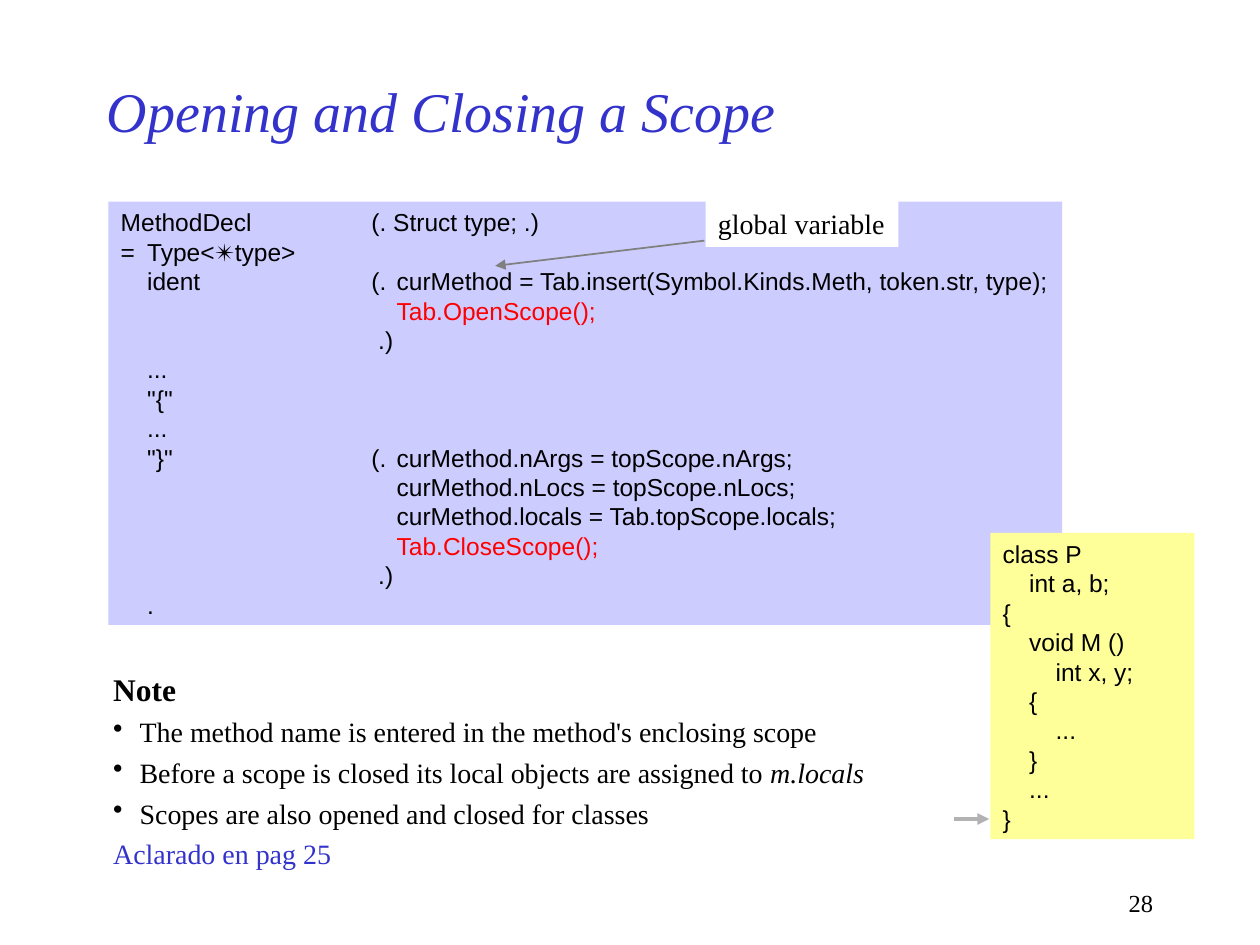
from dataclasses import dataclass

from lxml import etree
from pptx import Presentation
from pptx.dml.color import RGBColor
from pptx.enum.shapes import MSO_CONNECTOR, MSO_SHAPE
from pptx.enum.text import MSO_ANCHOR, MSO_AUTO_SIZE, PP_ALIGN
from pptx.oxml.ns import qn
from pptx.util import Inches, Pt

STRAIGHT = MSO_CONNECTOR.STRAIGHT
RECTANGLE = MSO_SHAPE.RECTANGLE
MIDDLE = MSO_ANCHOR.MIDDLE
FIT_TEXT = MSO_AUTO_SIZE.SHAPE_TO_FIT_TEXT
LEFT, RIGHT = PP_ALIGN.LEFT, PP_ALIGN.RIGHT
SERIF, SANS = "Times New Roman", "Arial"
BLACK, BLUE, RED = "000000", "3333CC", "FF0000"
HANGING = 0.21


@dataclass
class Line:
    text: str
    size: float = 16
    font: str = SERIF
    color: str = BLACK
    bold: bool = False
    italic: bool = False
    italic_end: str = ""
    bullet: bool = False
    hanging: bool = False
    before: float = 0
    after: float = 0
    align: PP_ALIGN = LEFT
    tabs: tuple[float, ...] = ()


@dataclass
class Box:
    left: float
    top: float
    width: float
    height: float
    lines: list[Line]
    fill: str = ""
    wrap: bool = True


@dataclass
class Arrow:
    start: tuple[float, float]
    end: tuple[float, float]
    color: str
    width: float


def rgb(value: str) -> RGBColor:
    return RGBColor.from_string(value)


def write_line(paragraph, line: Line) -> None:
    paragraph.alignment = line.align
    paragraph.line_spacing = 1.0
    if line.before:
        paragraph.space_before = Pt(line.before)
    if line.after:
        paragraph.space_after = Pt(line.after)
    properties = paragraph._p.get_or_add_pPr()
    if line.hanging:
        properties.set("marL", str(Inches(HANGING)))
        properties.set("indent", str(-Inches(HANGING)))
    if line.bullet:
        etree.SubElement(properties, qn("a:buChar"), char="•")
    if line.tabs:
        tab_list = etree.SubElement(properties, qn("a:tabLst"))
        for position in line.tabs:
            etree.SubElement(tab_list, qn("a:tab"), pos=str(Inches(position)), algn="l")
    font = paragraph.font
    font.name, font.size = line.font, Pt(line.size)
    font.bold, font.italic = line.bold, line.italic
    font.color.rgb = rgb(line.color)
    paragraph.add_run().text = line.text
    if line.italic_end:
        run = paragraph.add_run()
        run.text = line.italic_end
        run.font.italic = True


def draw_box(slide, box: Box):
    frame = [Inches(v) for v in (box.left, box.top, box.width, box.height)]
    if box.fill:
        shape = slide.shapes.add_shape(RECTANGLE, *frame)
        shape.shadow.inherit = False
        shape.fill.solid()
        shape.fill.fore_color.rgb = rgb(box.fill)
        shape.line.fill.background()
    else:
        shape = slide.shapes.add_textbox(*frame)
    text_frame = shape.text_frame
    text_frame.word_wrap = box.wrap
    if not box.wrap:
        text_frame.auto_size = FIT_TEXT
    for index, line in enumerate(box.lines):
        paragraph = text_frame.add_paragraph() if index else text_frame.paragraphs[0]
        write_line(paragraph, line)
    return shape


def draw_arrow(slide, arrow: Arrow) -> None:
    points = [Inches(v) for v in (*arrow.start, *arrow.end)]
    connector = slide.shapes.add_connector(STRAIGHT, *points)
    connector.line.color.rgb = rgb(arrow.color)
    connector.line.width = Pt(arrow.width)
    etree.SubElement(connector.line._get_or_add_ln(), qn("a:tailEnd"), type="triangle")
    etree.SubElement(connector._element.spPr, qn("a:effectLst"))


def code_lines(code: list[str], tabs: tuple[float, ...]) -> list[Line]:
    return [
        Line(text, 14, SANS, RED if "Scope();" in text else BLACK, tabs=tabs)
        for text in code
    ]


GRAMMAR = [
    "MethodDecl\t(. Struct type; .)",
    "=\tType<✴type>",
    "\tident\t(.\tcurMethod = Tab.insert(Symbol.Kinds.Meth, token.str, type);",
    "\t\t\tTab.OpenScope();",
    "\t\t .)",
    "\t...",
    '\t"{"',
    "\t...",
    '\t"}"\t(.\tcurMethod.nArgs = topScope.nArgs;',
    "\t\t\tcurMethod.nLocs = topScope.nLocs;",
    "\t\t\tcurMethod.locals = Tab.topScope.locals;",
    "\t\t\tTab.CloseScope();",
    "\t\t .)",
    "\t.",
]
EXAMPLE = [
    "class P", "\tint a, b;", "{", "\tvoid M ()", "\t\tint x, y;",
    "\t{", "\t\t...", "\t}", "\t...", "}",
]
NOTES = [
    Line("Note", 18, bold=True, hanging=True, after=4),
    Line("The method name is entered in the method's enclosing scope",
         bullet=True, hanging=True),
    Line("Before a scope is closed its local objects are assigned to ",
         italic_end="m.locals", bullet=True, hanging=True, before=4),
    Line("Scopes are also opened and closed for classes",
         bullet=True, hanging=True, before=4),
    Line("Aclarado en pag 25", color=BLUE, hanging=True, before=4),
]


def main() -> None:
    presentation = Presentation()
    presentation.slide_width, presentation.slide_height = Inches(10), Inches(7.5)
    slide = presentation.slides.add_slide(presentation.slide_layouts[6])

    # Page number and title
    draw_box(slide, Box(7.17, 7, 2.08, 0.33, [Line("28", 14, align=RIGHT)]))
    heading = Line("Opening and Closing a Scope", 32, color=BLUE, italic=True)
    title = draw_box(slide, Box(0.75, 0.5, 7.5, 0.75, [heading]))
    title.text_frame.vertical_anchor = MIDDLE

    # Notes and grammar
    draw_box(slide, Box(0.8, 5.27, 6.25, 1.7, NOTES, wrap=False))
    grammar = code_lines(GRAMMAR, (0.21, 1.99, 2.19))
    draw_box(slide, Box(0.86, 1.6, 7.57, 3.36, grammar, "CCCCFF", wrap=False))

    # Label pointing at the global variable
    label = [Line("global variable")]
    draw_box(slide, Box(5.6, 1.59, 1.53, 0.37, label, "FFFFFF", wrap=False))
    draw_arrow(slide, Arrow((5.59, 1.91), (3.93, 2.11), "808080", 1))

    # Example class with its closing brace marked
    example = code_lines(EXAMPLE, (0.21, 0.42, 0.62))
    draw_box(slide, Box(7.86, 4.23, 1.62, 2.43, example, "FFFF99"))
    draw_arrow(slide, Arrow((7.57, 6.5), (7.85, 6.5), "B2B2B2", 2.25))

    presentation.save("out.pptx")


if __name__ == "__main__":
    main()
